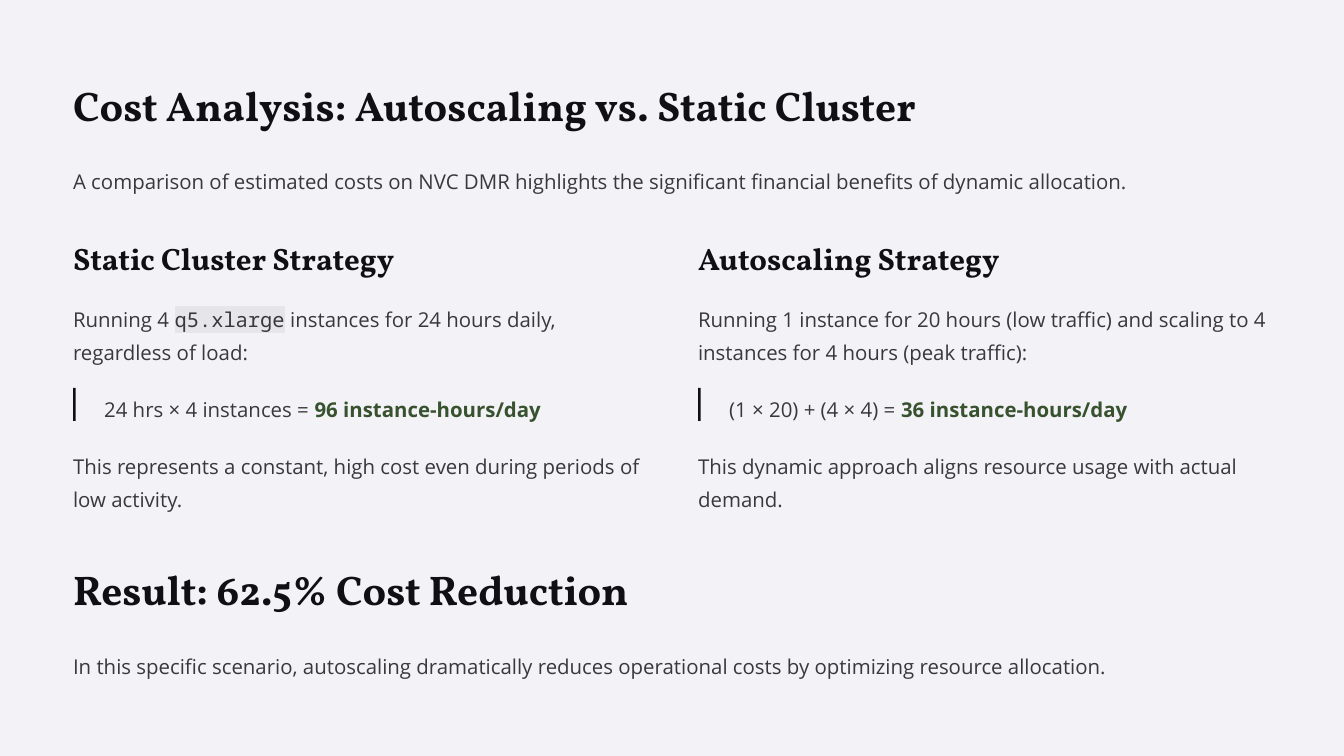
from lxml.etree import SubElement
from pptx import Presentation
from pptx.dml.color import RGBColor
from pptx.enum.shapes import MSO_SHAPE as Shape
from pptx.oxml.ns import qn
from pptx.util import Cm, Pt

PAPER = RGBColor(0xF3, 0xF3, 0xF7)
INK = RGBColor(0x10, 0x10, 0x14)
BODY = RGBColor(0x39, 0x39, 0x3C)
GREEN = RGBColor(0x38, 0x51, 0x2F)
CODE_FILL = RGBColor(0xE6, 0xE6, 0xEA)

TITLE = ("Vollkorn", 35.5, 44.5, INK, True)
HEADING = ("Vollkorn", 26.5, 33, INK, True)
PROSE = ("Open Sans", 17.5, 28.5, BODY, False)

MARGIN = 2.21
CONTENT_WIDTH = 36.22
COLUMN_WIDTH = 17.35
COLUMN_STEP = 18.9


def mark_code(run):
    run.font.name = "Noto Sans Mono"
    highlight = SubElement(run.font._element, qn("a:highlight"))
    SubElement(highlight, qn("a:srgbClr"), val=str(CODE_FILL))
    run.font._element.insert(0, highlight)


def mark_total(run):
    run.font.bold = True
    run.font.color.rgb = GREEN


def add_text(slide, left, top, width, height, style, *pieces):
    frame = slide.shapes.add_textbox(Cm(left), Cm(top), Cm(width), Cm(height)).text_frame
    frame.word_wrap = True
    frame.margin_left = frame.margin_top = frame.margin_right = frame.margin_bottom = 0
    paragraph = frame.paragraphs[0]
    font = paragraph.font
    font.name, size, leading, font.color.rgb, font.bold = style
    font.size = Pt(size)
    paragraph.line_spacing = Pt(leading)
    for wording, mark in pieces:
        run = paragraph.add_run()
        run.text = wording
        if mark:
            mark(run)


def add_statement(slide, left, top, width, title, sentence):
    add_text(slide, left, top, width, 1.57, TITLE, (title, None))
    add_text(slide, left, top + 2.51, width, 1, PROSE, (sentence, None))


def add_strategy(slide, left, top, width, heading, setup, formula, total, remark):
    indent = 0.94
    formula_top = top + 4.52
    add_text(slide, left, top, width, 1.19, HEADING, (heading, None))
    add_text(slide, left, top + 1.81, width, 2.01, PROSE, *setup)
    add_text(slide, left + indent, formula_top, width - indent, 1, PROSE,
             (formula, None), (total, mark_total))
    bar = slide.shapes.add_shape(Shape.RECTANGLE, Cm(left), Cm(formula_top), Cm(0.08), Cm(1))
    bar.shadow.inherit = False
    bar.fill.solid()
    bar.fill.fore_color.rgb = INK
    bar.line.fill.background()
    add_text(slide, left, top + 6.25, width, 2.01, PROSE, (remark, None))


def main():
    deck = Presentation()
    deck.slide_width, deck.slide_height = Cm(40.64), Cm(22.86)
    slide = deck.slides.add_slide(deck.slide_layouts[6])
    slide.background.fill.solid()
    slide.background.fill.fore_color.rgb = PAPER

    add_statement(
        slide, MARGIN, 2.34, CONTENT_WIDTH,
        "Cost Analysis: Autoscaling vs. Static Cluster",
        "A comparison of estimated costs on NVC DMR highlights the significant "
        "financial benefits of dynamic allocation.")

    strategies = [
        ("Static Cluster Strategy",
         [("Running 4 ", None), ("q5.xlarge", mark_code),
          (" instances for 24 hours daily, regardless of load:", None)],
         "24 hrs × 4 instances = ", "96 instance-hours/day",
         "This represents a constant, high cost even during periods of low activity."),
        ("Autoscaling Strategy",
         [("Running 1 instance for 20 hours (low traffic) and scaling to 4 "
           "instances for 4 hours (peak traffic):", None)],
         "(1 × 20) + (4 × 4) = ", "36 instance-hours/day",
         "This dynamic approach aligns resource usage with actual demand."),
    ]
    for column, strategy in enumerate(strategies):
        add_strategy(slide, MARGIN + column * COLUMN_STEP, 7.21, COLUMN_WIDTH, *strategy)

    add_statement(
        slide, MARGIN, 16.99, CONTENT_WIDTH,
        "Result: 62.5% Cost Reduction",
        "In this specific scenario, autoscaling dramatically reduces operational "
        "costs by optimizing resource allocation.")
    deck.save("out.pptx")


if __name__ == "__main__":
    main()
